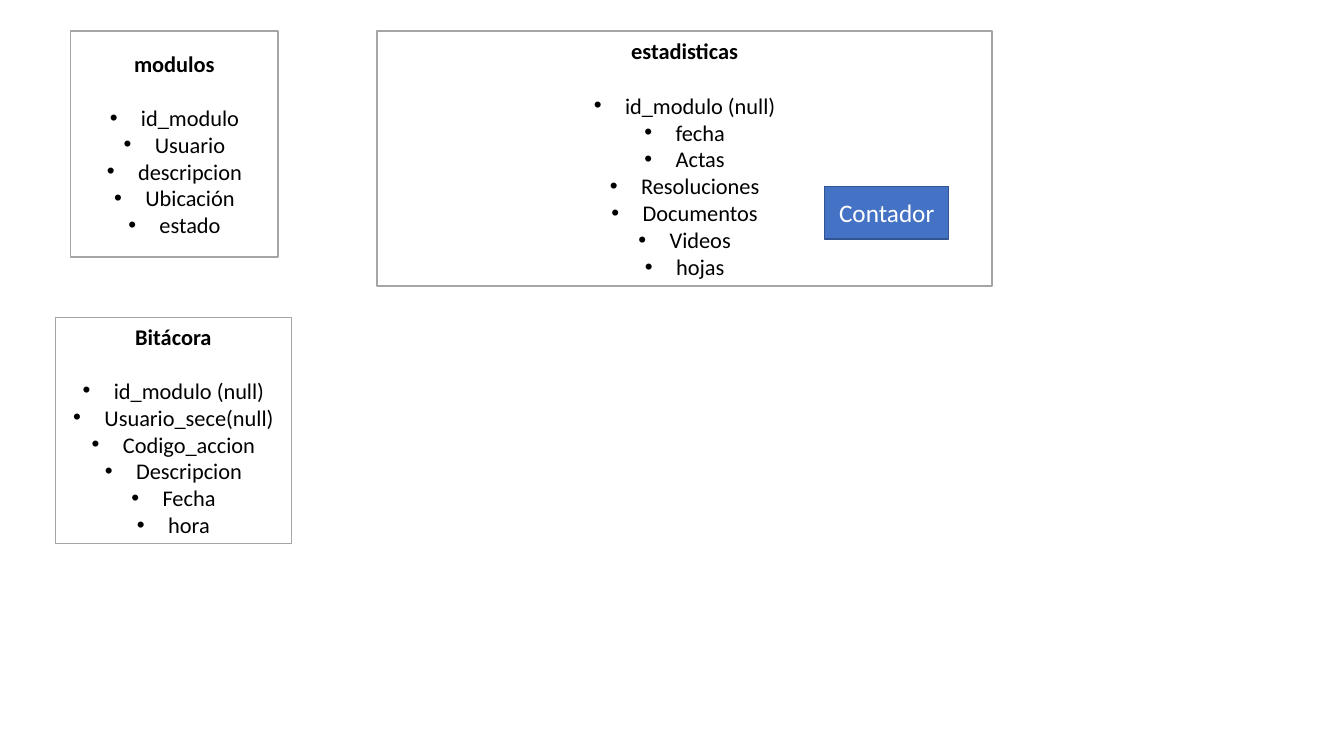
"""Build a slide with three database tables and their fields."""
from pptx import Presentation
from pptx.dml.color import RGBColor
from pptx.enum.shapes import MSO_SHAPE as Shape
from pptx.enum.text import MSO_ANCHOR as Anchor, PP_ALIGN as Align
from pptx.oxml.ns import qn
from pptx.util import Inches, Pt
from lxml.etree import SubElement

WHITE = RGBColor(0xFF, 0xFF, 0xFF)
BLACK = RGBColor(0x00, 0x00, 0x00)
GRAY = RGBColor(0xA5, 0xA5, 0xA5)
BLUE = RGBColor(0x44, 0x72, 0xC4)
DARK_BLUE = RGBColor(0x32, 0x54, 0x91)


def add_box(place, fill, line, lines, size, color):
    box = page.shapes.add_shape(Shape.RECTANGLE, *map(Inches, place))
    box.shadow.inherit = False
    box.fill.solid()
    box.fill.fore_color.rgb = fill
    box.line.color.rgb = line
    box.line.width = Pt(1)
    frame = box.text_frame
    frame.word_wrap = True
    frame.vertical_anchor = Anchor.MIDDLE
    frame.text = "\n".join(lines)
    for para in frame.paragraphs:
        para.alignment = Align.CENTER
        font = para.runs[0].font
        font.name = "Calibri"
        font.size = Pt(size)
        font.color.rgb = color
    return frame.paragraphs


def add_bullet(para):
    props = para._p.get_or_add_pPr()
    props.set("marL", str(Inches(0.31)))
    props.set("indent", str(Inches(-0.31)))
    SubElement(props, qn("a:buFont"), typeface="Arial")
    SubElement(props, qn("a:buChar"), char="•")


deck = Presentation()
deck.slide_width = Inches(13.33)
deck.slide_height = Inches(7.5)
page = deck.slides.add_slide(deck.slide_layouts[6])

tables = [
    ((0.7, 0.31, 2.06, 2.24), "modulos",
     ["id_modulo", "Usuario", "descripcion", "Ubicación", "estado"]),
    ((0.55, 3.15, 2.34, 2.24), "Bitácora",
     ["id_modulo (null)", "Usuario_sece(null)", "Codigo_accion",
      "Descripcion", "Fecha", "hora"]),
    ((3.74, 0.31, 6.1, 2.53), "estadisticas",
     ["id_modulo (null)", "fecha", "Actas", "Resoluciones",
      "Documentos", "Videos", "hojas"]),
]
for place, name, fields in tables:
    title, *items = add_box(place, WHITE, GRAY, [name, *fields], 16, BLACK)
    title.runs[0].font.bold = True
    title.space_after = Pt(19.5)
    for item in items:
        add_bullet(item)

add_box((8.18, 1.85, 1.23, 0.52), BLUE, DARK_BLUE, ["Contador"], 18, WHITE)

deck.save("out.pptx")
